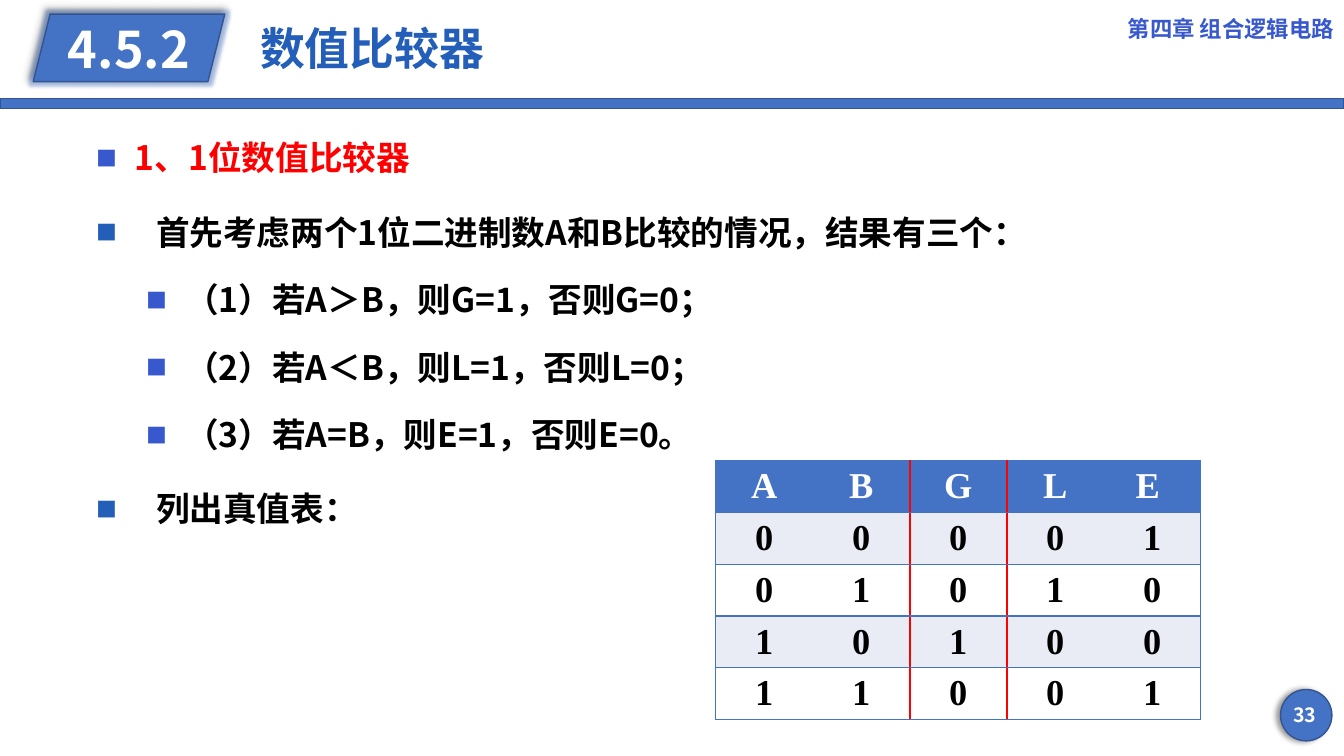
"""Slide on the one-bit numeric comparator with its truth table."""
from dataclasses import dataclass
from typing import Optional

from lxml.etree import SubElement
from pptx import Presentation
from pptx.dml.color import RGBColor
from pptx.enum.shapes import MSO_SHAPE
from pptx.enum.text import MSO_ANCHOR, MSO_AUTO_SIZE, PP_ALIGN
from pptx.oxml.ns import qn
from pptx.util import Inches, Pt

COLORS = {
    "blue": "4472C4", "edge": "325491", "title": "235EB8", "accent": "3859CD",
    "red": "FF0000", "black": "000000", "white": "FFFFFF", "band": "E9EBF5",
}
SANS, SERIF = "Noto Sans CJK SC", "Times New Roman"


@dataclass
class Block:
    box: tuple[float, float, float, float]
    shape: Optional[MSO_SHAPE] = None
    text: str = ""
    size: int = 16
    color: str = "white"
    align: PP_ALIGN = PP_ALIGN.CENTER
    shadow_dir: Optional[int] = None
    glow: float = 0


@dataclass
class Bullet:
    text: str
    margin: float
    hanging: float
    before: int
    mark: str
    color: str = "black"
    level: int = 0


BLOCKS = [
    Block((0, 0.98, 13.33, 0.1), MSO_SHAPE.RECTANGLE),
    Block((12.7, 6.84, 0.51, 0.51), MSO_SHAPE.OVAL, shadow_dir=180),
    Block((11.03, 0, 2.3, 0.56), text="第四章 组合逻辑电路", color="accent", align=PP_ALIGN.RIGHT),
    Block((12.63, 6.89, 0.62, 0.4), text="33", size=14),
    Block((0.33, 0.14, 1.9, 0.67), MSO_SHAPE.PARALLELOGRAM, "4.5.2", 36, shadow_dir=225, glow=5),
]
BULLETS = [
    Bullet("1、1位数值比较器", 0.38, 0.38, 0, "accent", "red"),
    Bullet("首先考虑两个1位二进制数A和B比较的情况，结果有三个：", 0.59, 0.59, 10, "title"),
    Bullet("（1）若A＞B，则G=1，否则G=0；", 0.88, 0.38, 5, "accent", level=1),
    Bullet("（2）若A＜B，则L=1，否则L=0；", 0.88, 0.38, 5, "accent", level=1),
    Bullet("（3）若A=B，则E=1，否则E=0。", 0.88, 0.38, 5, "accent", level=1),
    Bullet("列出真值表：", 0.59, 0.59, 10, "title"),
]
TRUTH = [["A", "B", "G", "L", "E "], "00001", "01010", "10100", "11001"]
COLUMN_EDGES = ["blue", None, "red", "red", None, "blue"]


def rgb(name: str) -> RGBColor:
    """Return a palette colour."""
    return RGBColor.from_string(COLORS[name])


def set_all(obj, values: dict) -> None:
    """Set every attribute in values on obj."""
    for name, value in values.items():
        setattr(obj, name, value)


def add_color(parent, name: str, alpha: Optional[int] = None) -> None:
    """Append a colour element, translucent when alpha is a percentage."""
    clr = SubElement(parent, qn("a:srgbClr"), val=COLORS[name])
    if alpha is not None:
        SubElement(clr, qn("a:alpha"), val=str(alpha * 1000))


def add_run(p, text: str, size: int, color: str, font: str = SANS) -> None:
    """Add a bold run in one font for Latin and East Asian text."""
    r = p.add_run()
    r.text = text
    set_all(r.font, {"size": Pt(size), "bold": True, "name": font})
    r.font.color.rgb = rgb(color)
    SubElement(r._r.get_or_add_rPr(), qn("a:ea"), typeface=font)


def add_effects(sp, direction: int, glow: float) -> None:
    """Give a shape an outer shadow and, if asked, a glow."""
    effects = sp._element.spPr.find(qn("a:effectLst"))
    if glow:
        add_color(SubElement(effects, qn("a:glow"), rad=str(Pt(glow))), "blue", 40)
    shade = SubElement(effects, qn("a:outerShdw"), blurRad=str(Pt(4)), dist=str(Pt(3)),
                       dir=str(direction * 60000), algn="ctr", rotWithShape="0")
    add_color(shade, "black", 40)


def add_block(s, block: Block) -> None:
    """Draw a shape or a text box with its single line of text."""
    box = [Inches(v) for v in block.box]
    if block.shape is None:
        sp = s.shapes.add_textbox(*box)
    else:
        sp = s.shapes.add_shape(block.shape, *box)
        sp.shadow.inherit = False
        sp.fill.solid()
        sp.fill.fore_color.rgb = rgb("blue")
        sp.line.color.rgb = rgb("edge")
        sp.line.width = Pt(1)
    if block.shadow_dir is not None:
        add_effects(sp, block.shadow_dir, block.glow)
    if block.text:
        tf = sp.text_frame
        set_all(tf, {"word_wrap": True, "vertical_anchor": MSO_ANCHOR.MIDDLE})
        p = tf.paragraphs[0]
        p.alignment = block.align
        add_run(p, block.text, block.size, block.color)


def add_title(s, text: str) -> None:
    """Place and format the title placeholder."""
    sp = s.shapes.title
    set_all(sp, {"left": Inches(2.48), "top": Inches(0.11),
                 "width": Inches(8.39), "height": Inches(0.8)})
    tf = sp.text_frame
    set_all(tf, {"vertical_anchor": MSO_ANCHOR.MIDDLE, "auto_size": MSO_AUTO_SIZE.NONE})
    p = tf.paragraphs[0]
    set_all(p, {"alignment": PP_ALIGN.LEFT, "line_spacing": 0.9})
    add_run(p, text, 32, "title")


def add_bullets(s, bullets: list[Bullet]) -> None:
    """Write the bulleted body text."""
    tf = s.shapes.add_textbox(Inches(0.86), Inches(1.11), Inches(11.66), Inches(5.62)).text_frame
    set_all(tf, {"word_wrap": True, "margin_top": Inches(0.05)})
    for i, b in enumerate(bullets):
        p = tf.add_paragraph() if i else tf.paragraphs[0]
        set_all(p, {"level": b.level, "line_spacing": 1.5, "space_before": Pt(b.before)})
        pPr = p._p.get_or_add_pPr()
        pPr.set("marL", str(Inches(b.margin)))
        pPr.set("indent", str(-Inches(b.hanging)))
        add_color(SubElement(pPr, qn("a:buClr")), b.mark)
        SubElement(pPr, qn("a:buSzPct"), val="62000")
        SubElement(pPr, qn("a:buFont"), typeface=SANS)
        SubElement(pPr, qn("a:buChar"), char="■")
        add_run(p, b.text, 24, b.color)


def add_border(cell, side: str, color: Optional[str]) -> None:
    """Draw one cell border, or clear it when there is no colour."""
    width = Pt(1.5) if color == "red" else Pt(1)
    ln = SubElement(cell._tc.get_or_add_tcPr(), qn(f"a:ln{side}"), w=str(width))
    if color:
        add_color(SubElement(ln, qn("a:solidFill")), color)
    else:
        SubElement(ln, qn("a:noFill"))


def add_truth_table(s) -> None:
    """Build the truth table with its red column rules."""
    table = s.shapes.add_table(len(TRUTH), 5, Inches(7.1), Inches(4.57),
                               Inches(4.81), Inches(2.57)).table
    for i, row in enumerate(TRUTH):
        fill = "blue" if i == 0 else "band" if i % 2 else "white"
        for j, value in enumerate(row):
            cell = table.cell(i, j)
            set_all(cell, {"margin_left": Inches(0.18), "margin_right": Inches(0.18),
                           "margin_top": 0, "margin_bottom": 0,
                           "vertical_anchor": MSO_ANCHOR.MIDDLE})
            for side, color in zip("LRTB", [*COLUMN_EDGES[j:j + 2], "blue", "blue"]):
                add_border(cell, side, color)
            cell.fill.solid()
            cell.fill.fore_color.rgb = rgb(fill)
            p = cell.text_frame.paragraphs[0]
            p.alignment = PP_ALIGN.CENTER
            add_run(p, value, 26, "black" if i else "white", SERIF)


def main() -> None:
    """Build and save the slide."""
    prs = Presentation()
    set_all(prs, {"slide_width": Inches(13.33), "slide_height": Inches(7.5)})
    s = prs.slides.add_slide(prs.slide_layouts[5])
    add_title(s, "数值比较器")
    for block in BLOCKS:
        add_block(s, block)
    add_bullets(s, BULLETS)
    add_truth_table(s)
    prs.save("out.pptx")


if __name__ == "__main__":
    main()
